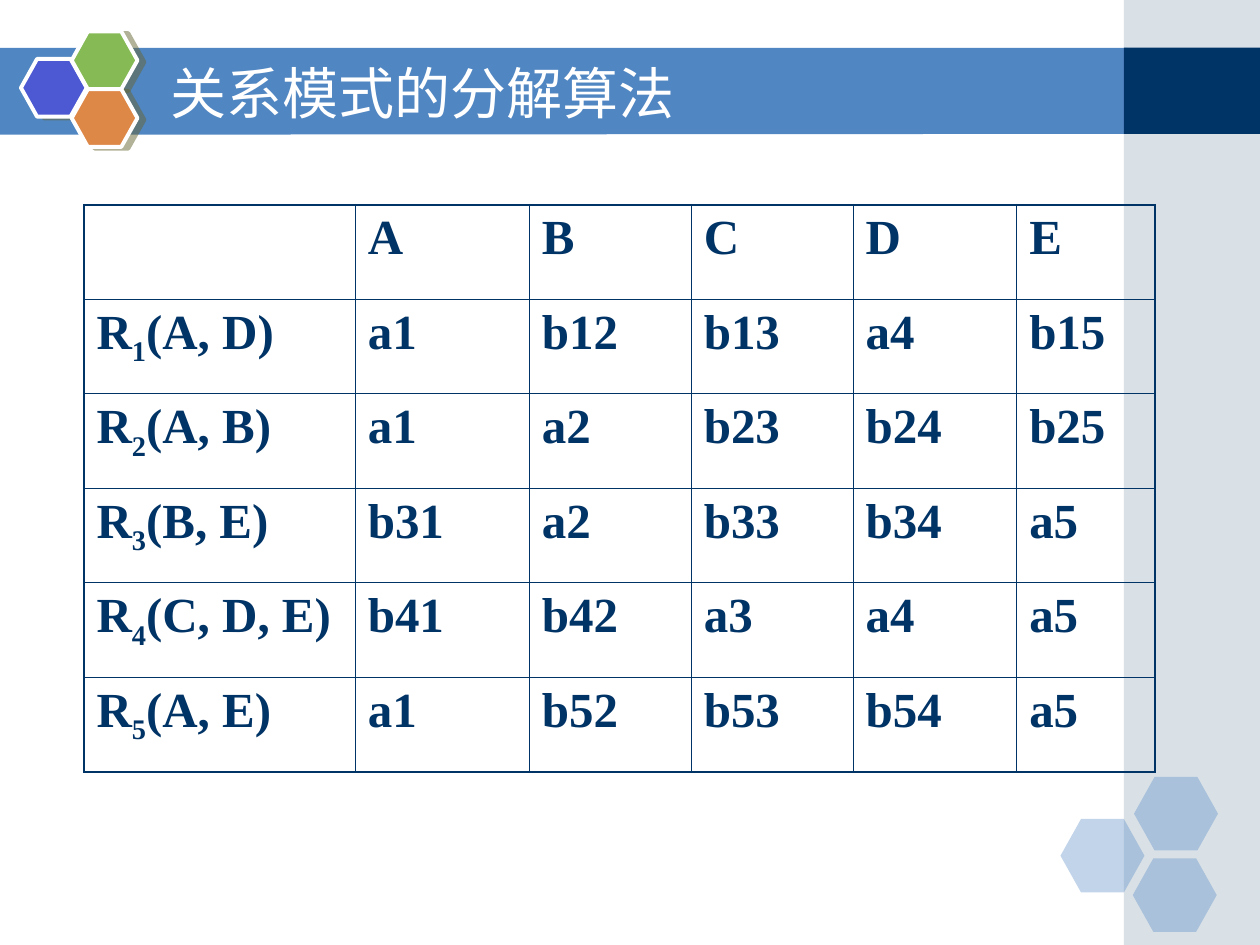
import pptx
import pptx.dml.color
import pptx.enum.shapes
import pptx.enum.text
import pptx.oxml
import pptx.oxml.ns
import pptx.util
from lxml import etree

Pt = pptx.util.Pt
SHAPES = pptx.enum.shapes.MSO_SHAPE
NAVY = "003366"
BLUE = "5086C2"
NO_STYLE = "{2D5ABB26-0587-4C30-8999-92F81FD0307C}"
HEADINGS = ["A", "B", "C", "D", "E"]
RELATIONS = [
    ("(A, D)", "a1 b12 b13 a4 b15"),
    ("(A, B)", "a1 a2 b23 b24 b25"),
    ("(B, E)", "b31 a2 b33 b34 a5"),
    ("(C, D, E)", "b41 b42 a3 a4 a5"),
    ("(A, E)", "a1 b52 b53 b54 a5"),
]


def colour(value):
    return pptx.dml.color.RGBColor.from_string(value)


def add_child(parent, tag, **attributes):
    child = etree.SubElement(parent, pptx.oxml.ns.qn(tag))
    for name, value in attributes.items():
        child.set(name, str(value))
    return child


def paint(shape, fill, opacity=100):
    shape.shadow.inherit = False
    shape.line.fill.background()
    shape.fill.solid()
    shape.fill.fore_color.rgb = colour(fill)
    if opacity < 100:
        tone = shape.fill._xPr.find(".//" + pptx.oxml.ns.qn("a:srgbClr"))
        add_child(tone, "a:alpha", val=opacity * 1000)


def add_block(page, kind, left, top, width, height, fill, opacity=100):
    shape = page.shapes.add_shape(kind, Pt(left), Pt(top), Pt(width), Pt(height))
    paint(shape, fill, opacity)
    return shape


def add_hexagon(page, left, top, width, height, fill, opacity=100):
    shape = add_block(page, SHAPES.HEXAGON, left, top, width, height, fill, opacity)
    shape.adjustments[0] = 0.28
    return shape


def add_badge(page, left, top, fill):
    shape = add_hexagon(page, left, top, 37.6, 33, fill)
    shape.line.color.rgb = colour("FFFFFF")
    shape.line.width = Pt(2.25)
    effects = shape._element.spPr.find(pptx.oxml.ns.qn("a:effectLst"))
    shadow = add_child(effects, "a:outerShdw", blurRad=0, dist=Pt(4.1),
                       dir=14 * 60000, algn="ctr", rotWithShape=0)
    tone = add_child(shadow, "a:srgbClr", val="666633")
    add_child(tone, "a:alpha", val=50000)


def add_band(page):
    builder = page.shapes.build_freeform(Pt(-0.7), Pt(27.3))
    corners = [(644.3, 27.3), (644.3, 76.5), (-0.7, 77)]
    builder.add_line_segments([(Pt(x), Pt(y)) for x, y in corners])
    paint(builder.convert_to_shape(), BLUE)


def place_title(page, text):
    title = page.shapes.title
    page.shapes._spTree.append(title._element)
    title.left, title.top, title.width, title.height = Pt(90), Pt(30.3), Pt(528), Pt(45)
    frame = title.text_frame
    frame.text = text
    frame.auto_size = pptx.enum.text.MSO_AUTO_SIZE.NONE
    frame.vertical_anchor = pptx.enum.text.MSO_ANCHOR.MIDDLE
    para = frame.paragraphs[0]
    para.alignment = pptx.enum.text.PP_ALIGN.LEFT
    para.font.size = Pt(32)
    para.font.name = "DejaVu Sans"
    para.font.color.rgb = colour("FFFFFF")
    add_child(para.font._element, "a:ea", typeface="DejaVu Sans")


def border_cell(cell, outer_sides):
    properties = cell._tc.get_or_add_tcPr()
    for side in "LRTB":
        width = Pt(1.08) if side in outer_sides else Pt(0.45)
        line = add_child(properties, "a:ln" + side, w=width)
        add_child(add_child(line, "a:solidFill"), "a:srgbClr", val=NAVY)
    cell.fill.background()


def write_cell(cell, pieces):
    para = cell.text_frame.paragraphs[0]
    para.font.size = Pt(28)
    para.font.bold = True
    para.font.name = "Times New Roman"
    para.font.color.rgb = colour(NAVY)
    for index, piece in enumerate(pieces):
        span = para.add_run()
        span.text = piece
        if index == 1:
            span.font._element.set("baseline", "-25000")


def add_relation_table(page):
    widths = [155, 99.5, 92.5, 92.5, 93.5, 79]
    rows = [[[]] + [[name] for name in HEADINGS]]
    for number, (attributes, values) in enumerate(RELATIONS, 1):
        rows.append([["R", str(number), attributes]] + [[value] for value in values.split()])
    frame = page.shapes.add_table(len(rows), len(widths), Pt(48), Pt(117),
                                  Pt(sum(widths)), Pt(54 * len(rows)))
    table = frame.table
    table.first_row = table.horz_banding = False
    table._tbl.tblPr.find(pptx.oxml.ns.qn("a:tableStyleId")).text = NO_STYLE
    for column, width in zip(table.columns, widths):
        column.width = Pt(width)
    for i, row in enumerate(rows):
        for j, pieces in enumerate(row):
            edges = {"L": j == 0, "R": j == len(widths) - 1,
                     "T": i == 0, "B": i == len(rows) - 1}
            cell = table.cell(i, j)
            border_cell(cell, [side for side, outer in edges.items() if outer])
            write_cell(cell, pieces)


def main():
    deck = pptx.Presentation()
    deck.slide_width, deck.slide_height = Pt(720), Pt(540)
    page = deck.slides.add_slide(deck.slide_layouts[5])
    add_band(page)
    add_block(page, SHAPES.RECTANGLE, 642.2, 0, 77.8, 540, "A0B5C4", 40)
    add_block(page, SHAPES.RECTANGLE, 642.2, 27.3, 77.8, 49.2, NAVY)
    for left, top in [(606, 468), (648, 444), (647.3, 490.5)]:
        add_hexagon(page, left, top, 48, 42, BLUE, 35)
    for left, top, fill in [(12, 33.7, "4C59D2"), (41, 18, "85BA54"), (41, 51, "DE8848")]:
        add_badge(page, left, top, fill)
    place_title(page, "关系模式的分解算法")
    add_relation_table(page)
    deck.save("out.pptx")


if __name__ == "__main__":
    main()
